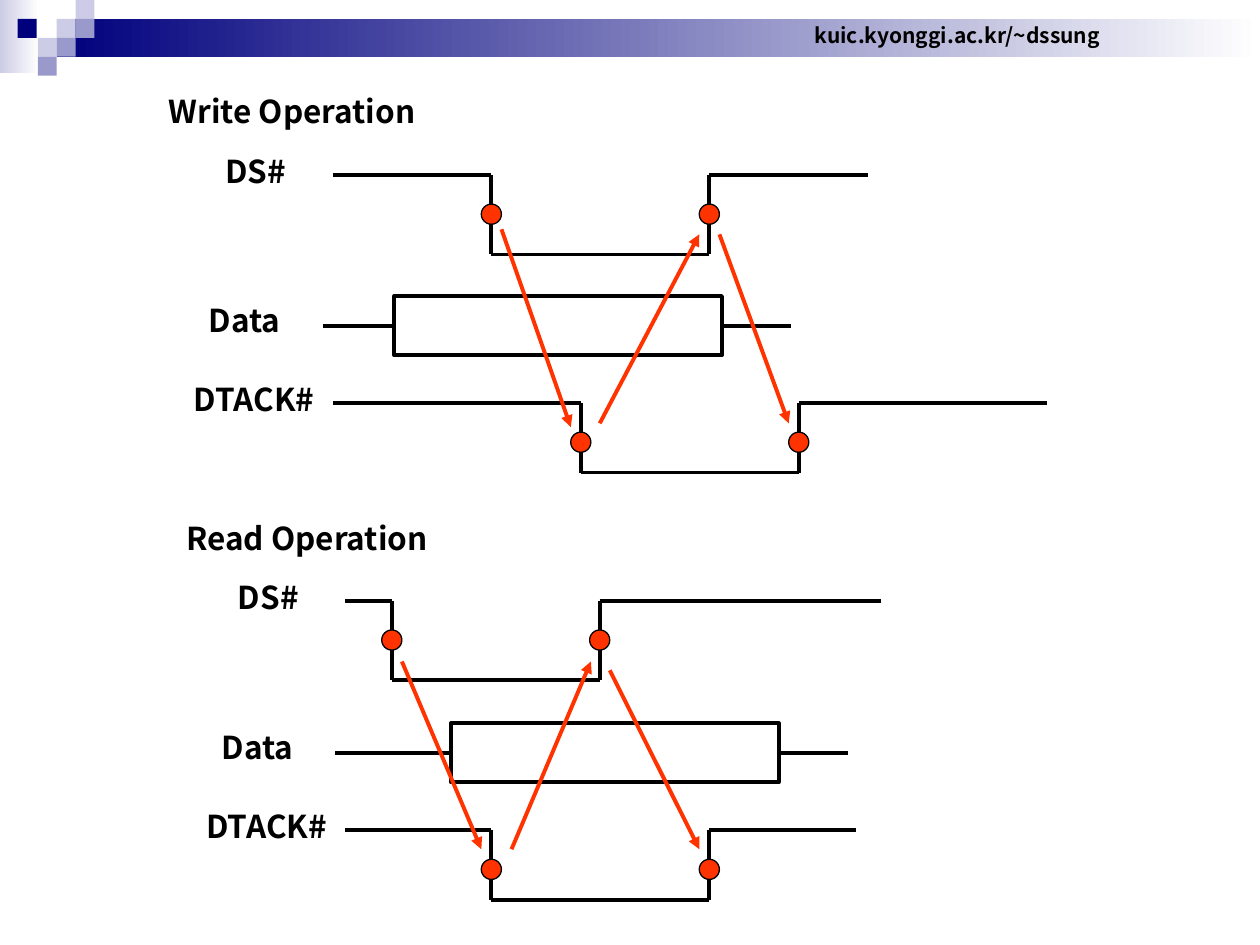
import itertools
from dataclasses import dataclass

import lxml.etree
import pptx
import pptx.dml.color
import pptx.enum.shapes
import pptx.enum.text
import pptx.util
from pptx.oxml.ns import qn
from pptx.util import Inches

COLORS = {
    "black": "000000", "white": "FFFFFF", "signal": "FF3300",
    "navy": "00007D", "lavender": "CCCCE6", "violet": "9999CC",
}
FONT = "Noto Sans CJK KR"
TILE = 0.15
DOT_SIZE = 0.16
DOT_DROP = 0.31
DATA_WIDTH, DATA_HEIGHT = 2.6, 0.47
LEAD = 0.55
RECTANGLE = pptx.enum.shapes.MSO_SHAPE.RECTANGLE
OVAL = pptx.enum.shapes.MSO_SHAPE.OVAL


@dataclass
class Wave:
    label: str
    label_left: float
    drop: float
    depth: float
    start: float
    fall: float
    rise: float
    end: float


@dataclass
class Operation:
    title: str
    title_left: float
    title_width: float
    top: float
    strobe: Wave
    acknowledge: Wave
    data_label_left: float
    data_start: float
    data_left: float
    arrows: list[tuple[float, float, float, float]]


OPERATIONS = [
    Operation(
        "Write Operation", 1.24, 2.22, 0.68,
        Wave("DS#", 1.69, 0.71, 0.63, 2.64, 3.9, 5.63, 6.89),
        Wave("DTACK#", 1.44, 2.52, 0.55, 2.64, 4.61, 6.34, 8.31),
        1.56, 2.56, 3.13,
        [(3.98, 1.82, 4.53, 3.39), (4.76, 3.36, 5.55, 1.86), (5.71, 1.86, 6.26, 3.36)],
    ),
    Operation(
        "Read Operation", 1.38, 2.16, 4.07,
        Wave("DS#", 1.79, 0.7, 0.63, 2.74, 3.11, 4.76, 6.99),
        Wave("DTACK#", 1.54, 2.52, 0.55, 2.74, 3.9, 5.63, 6.79),
        1.66, 2.66, 3.58,
        [(3.19, 5.25, 3.82, 6.74), (4.06, 6.74, 4.69, 5.25), (4.84, 5.32, 5.55, 6.74)],
    ),
]
LABEL_WIDTHS = {"DS#": 0.68, "Data": 0.79, "DTACK#": 1.19}
TILES = [
    (0.45, 0.15, "lavender"), (0.6, 0, "lavender"), (0.6, 0.15, "violet"),
    (0.3, 0.3, "lavender"), (0.14, 0.15, "navy"), (0.45, 0.3, "violet"),
    (0.3, 0.45, "violet"),
]


def rgb(name: str) -> pptx.dml.color.RGBColor:
    """Return the named colour."""
    return pptx.dml.color.RGBColor.from_string(COLORS[name])


def add_block(slide, kind, left: float, top: float, width: float, height: float,
              fill: str, line_width: float = 0):
    """Add a filled shape, outlined in black when a line width is given."""
    shape = slide.shapes.add_shape(kind, Inches(left), Inches(top), Inches(width), Inches(height))
    shape.shadow.inherit = False
    shape.fill.solid()
    shape.fill.fore_color.rgb = rgb(fill)
    if line_width:
        shape.line.color.rgb = rgb("black")
        shape.line.width = pptx.util.Pt(line_width)
    else:
        shape.line.fill.background()
    return shape


def add_gradient(slide, left: float, top: float, width: float, height: float, color: str) -> None:
    """Add a band that fades to white towards the right."""
    fill = add_block(slide, RECTANGLE, left, top, width, height, color).fill
    fill.gradient()
    fill.gradient_angle = 180
    for stop, name in zip(fill.gradient_stops, ("white", color)):
        stop.color.rgb = rgb(name)


def add_line(slide, start: tuple[float, float], end: tuple[float, float],
             color: str = "black", arrow: bool = False):
    """Add a straight line, with an arrowhead at its end if wanted."""
    connector = slide.shapes.add_connector(
        pptx.enum.shapes.MSO_CONNECTOR.STRAIGHT, *map(Inches, (*start, *end)))
    connector.line.color.rgb = rgb(color)
    connector.line.width = pptx.util.Pt(2.25)
    if arrow:
        lxml.etree.SubElement(connector.line._get_or_add_ln(), qn("a:tailEnd"), type="triangle")
    lxml.etree.SubElement(connector._element.spPr, qn("a:effectLst"))
    return connector


def add_text(slide, text: str, left: float, top: float, width: float,
             height: float = 0.4, size: float = 18):
    """Add a bold one-line text box."""
    shape = slide.shapes.add_textbox(Inches(left), Inches(top), Inches(width), Inches(height))
    shape.text_frame.word_wrap = False
    shape.text_frame.text = text
    font = shape.text_frame.paragraphs[0].runs[0].font
    font.name, font.size, font.bold = FONT, pptx.util.Pt(size), True
    font.color.rgb = rgb("black")
    return shape


def add_wave(slide, wave: Wave, operation_top: float) -> None:
    """Draw a labelled active-low pulse."""
    high = operation_top + wave.drop
    low = high + wave.depth
    points = [(wave.start, high), (wave.fall, high), (wave.fall, low),
              (wave.rise, low), (wave.rise, high), (wave.end, high)]
    for start, end in itertools.pairwise(points):
        add_line(slide, start, end)
    add_text(slide, wave.label, wave.label_left, high - 0.23, LABEL_WIDTHS[wave.label])


def add_dots(slide, wave: Wave, operation_top: float) -> None:
    """Mark the falling and rising edges of a pulse."""
    top = operation_top + wave.drop + DOT_DROP - DOT_SIZE / 2
    for edge in (wave.fall, wave.rise):
        add_block(slide, OVAL, edge - DOT_SIZE / 2, top, DOT_SIZE, DOT_SIZE, "signal", 0.75)


def add_data(slide, operation: Operation) -> None:
    """Draw the data window with a lead on each side."""
    top = operation.top + 1.67
    middle = top + DATA_HEIGHT / 2
    left, right = operation.data_left, operation.data_left + DATA_WIDTH
    window = add_block(slide, RECTANGLE, left, top, DATA_WIDTH, DATA_HEIGHT, "white", 2.25)
    add_line(slide, (operation.data_start, middle), (left, middle)).end_connect(window, 1)
    add_line(slide, (right, middle), (right + LEAD, middle)).begin_connect(window, 3)
    add_text(slide, "Data", operation.data_label_left, top - 0.01, LABEL_WIDTHS["Data"])


def add_operation(slide, operation: Operation) -> None:
    """Draw one complete timing diagram."""
    waves = (operation.strobe, operation.acknowledge)
    add_text(slide, operation.title, operation.title_left, operation.top, operation.title_width)
    for wave in waves:
        add_wave(slide, wave, operation.top)
    add_data(slide, operation)
    for wave in waves:
        add_dots(slide, wave, operation.top)
    for arrow in operation.arrows:
        add_line(slide, arrow[:2], arrow[2:], "signal", arrow=True)


def add_header(slide) -> None:
    """Draw the banner, its tiles and the address."""
    add_gradient(slide, 0, 0, 0.31, 0.58, "lavender")
    add_gradient(slide, 0.45, 0.15, 9.55, 0.3, "navy")
    for left, top, color in TILES:
        add_block(slide, RECTANGLE, left, top, TILE, TILE, color)
    address = add_text(slide, "kuic.kyonggi.ac.kr/~dssung", 6.37, 0.13, 2.47, 0.3, 12)
    address.text_frame.vertical_anchor = pptx.enum.text.MSO_ANCHOR.MIDDLE


def main() -> None:
    """Build and save the slide."""
    presentation = pptx.Presentation()
    presentation.slide_width, presentation.slide_height = Inches(10), Inches(7.5)
    slide = presentation.slides.add_slide(presentation.slide_layouts[6])
    add_header(slide)
    for operation in OPERATIONS:
        add_operation(slide, operation)
    presentation.save("out.pptx")


if __name__ == "__main__":
    main()
